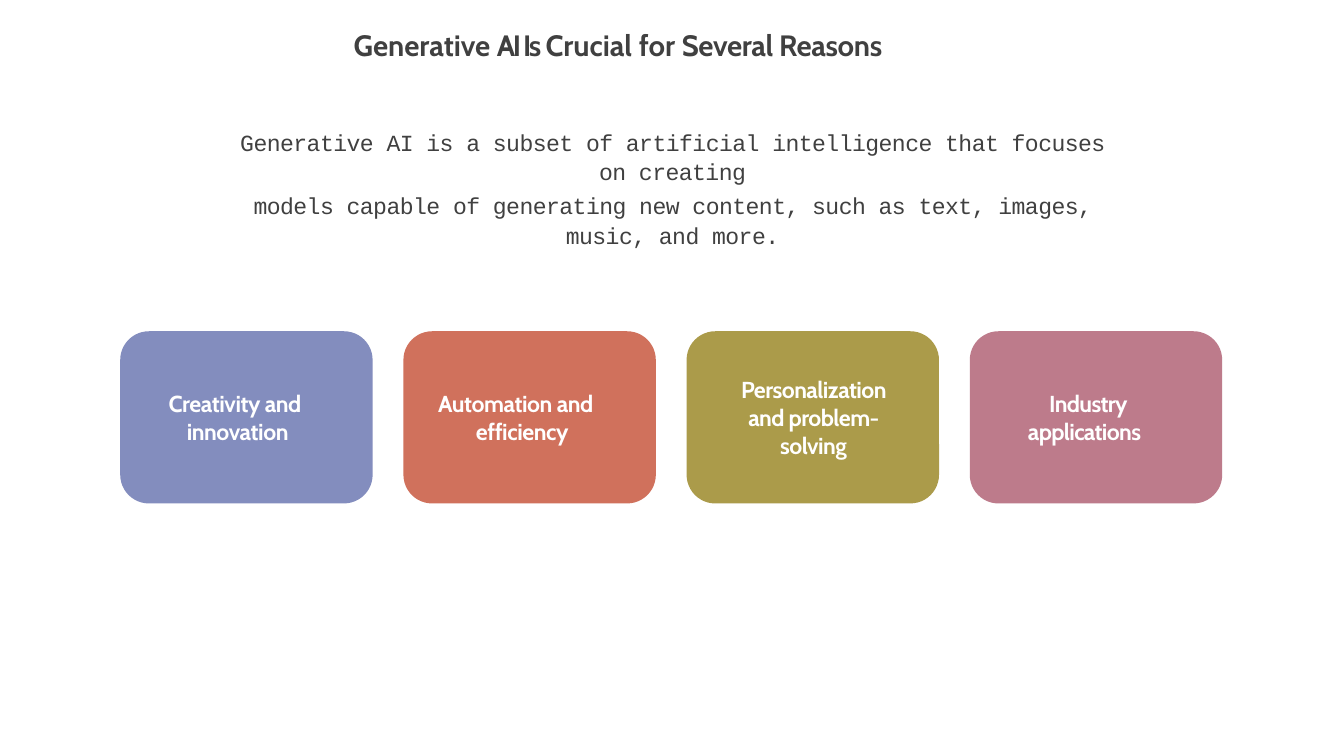
import pptx
import pptx.util
import pptx.dml.color
import pptx.enum.shapes
import pptx.enum.text

Pt = pptx.util.Pt
ALIGN = pptx.enum.text.PP_ALIGN
GREY, WHITE = "404040", "FFFFFF"
HEAD = dict(name="Cabin", size=Pt(28), bold=True)
BODY = dict(name="Courier New", size=Pt(22), bold=False)
LABEL = dict(name="Cabin", size=Pt(22), bold=True)

# Label, card colour, text offset and width, left margin, first-line indent, alignment, spacing
CARDS = [
    ("Creativity and innovation", "838DBE", 45.4, 149.8, 18, -17.3, ALIGN.LEFT, -0.4),
    ("Automation and efficiency", "D0715C", 32.4, 175, 36.7, -36, ALIGN.LEFT, -0.4),
    ("Personalization and problem-solving", "AB9B4A", 37.4, 166.3, 0.7, 0, ALIGN.CENTER, -0.5),
    ("Industry applications", "BD7B8B", 54.7, 131, 0.7, 20.2, ALIGN.LEFT, -0.6),
]


def tint(code):
    return pptx.dml.color.RGBColor.from_string(code)


def put(item, **vals):
    for key, val in vals.items():
        setattr(item, key, val)


def write(slide, box, paras, style, color, inset=0.9, left=0, first=0, **form):
    """Place a text box; each paragraph is a list of (words, spacing) runs."""
    frame = slide.shapes.add_textbox(*map(Pt, box)).text_frame
    put(frame, word_wrap=True, margin_left=0, margin_right=0,
        margin_top=Pt(inset), margin_bottom=0,
        auto_size=pptx.enum.text.MSO_AUTO_SIZE.SHAPE_TO_FIT_TEXT)
    for num, runs in enumerate(paras):
        para = frame.add_paragraph() if num else frame.paragraphs[0]
        put(para, **form)
        para.space_before = Pt(4 if num else 0)
        props = para._p.get_or_add_pPr()
        props.set("marL", str(Pt(left)))
        props.set("indent", str(Pt(first)))
        for words, gap in runs:
            run = para.add_run()
            run.text = words
            put(run.font, **style)
            run.font.color.rgb = tint(color)
            run.font._element.set("spc", str(round(gap * 100)))


def title(slide, box):
    runs = [("Generative ", 0), ("AI Is ", -2.2),
            ("Crucial for ", 0), ("Several Reasons", -0.35)]
    write(slide, box, [runs], HEAD, GREY, left=0.7)


def intro(slide, box):
    lines = [
        "Generative AI is a subset of artificial intelligence that focuses on creating",
        "models capable of generating new content, such as text, images, music, and more.",
    ]
    write(slide, box, [[(line, -0.5)] for line in lines], BODY, GREY,
          inset=5, alignment=ALIGN.CENTER, line_spacing=1.07)


def card(slide, box, text, color, shift, width, left, first, align, gap):
    x, y, _, high = box
    # Rounded panel
    panel = slide.shapes.add_shape(
        pptx.enum.shapes.MSO_SHAPE.ROUNDED_RECTANGLE, *map(Pt, box))
    panel.shadow.inherit = False
    panel.fill.solid()
    panel.fill.fore_color.rgb = tint(color)
    panel.line.fill.background()
    # Label, centred in height by its number of lines
    tall = 81.4 if align == ALIGN.CENTER else 54.7
    write(slide, (x + shift, y + (high - tall) / 2, width, tall), [[(text, gap)]],
          LABEL, WHITE, left=left, first=first, alignment=align)


def row(slide, box):
    x, y, wide, high = box
    space = 29.3
    size = (wide - space * (len(CARDS) - 1)) / len(CARDS)
    for num, data in enumerate(CARDS):
        card(slide, (x + num * (size + space), y, size, high), *data)


def main():
    deck = pptx.Presentation()
    put(deck, slide_width=Pt(1280), slide_height=Pt(720))
    slide = deck.slides.add_slide(deck.slide_layouts[6])
    intro(slide, (218.2, 115.2, 844.6, 62.6))
    title(slide, (336.2, 24.5, 607.7, 35.3))
    row(slide, (114.5, 315.5, 1049.5, 164))
    deck.save("out.pptx")


if __name__ == "__main__":
    main()
